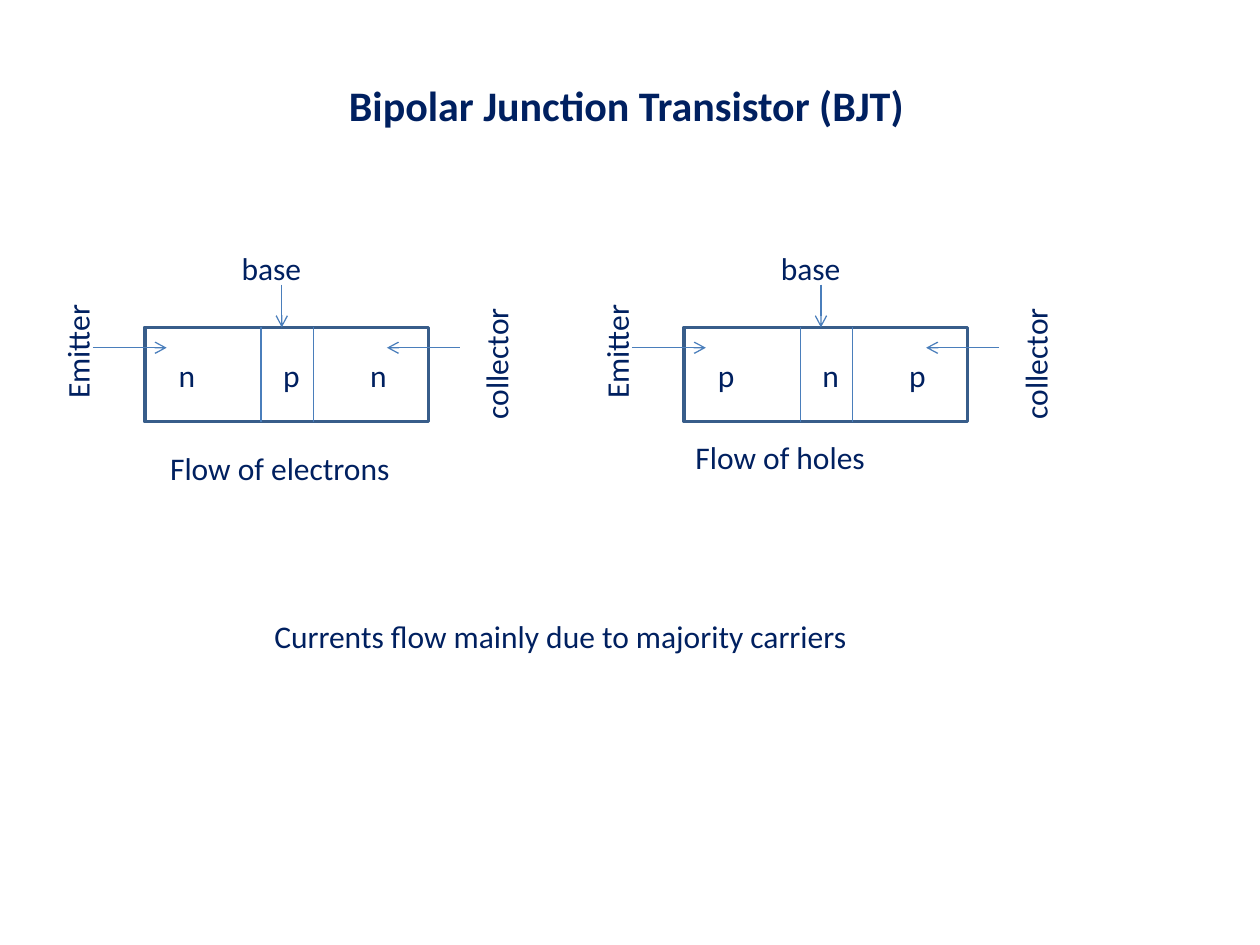
from dataclasses import dataclass

from lxml import etree
from pptx import Presentation
from pptx.dml.color import RGBColor
from pptx.enum.shapes import MSO_CONNECTOR, MSO_SHAPE
from pptx.enum.text import MSO_ANCHOR, MSO_AUTO_SIZE, PP_ALIGN
from pptx.oxml.ns import qn
from pptx.util import Cm, Pt

RECT = MSO_SHAPE.RECTANGLE
LINE = MSO_CONNECTOR.STRAIGHT
TOP = MSO_ANCHOR.TOP
LEFT = PP_ALIGN.LEFT
FIXED = MSO_AUTO_SIZE.NONE


@dataclass(frozen=True)
class Theme:
    """Colours, font and sizes of the slide."""
    ink: RGBColor = RGBColor(0x00, 0x20, 0x60)
    edge: RGBColor = RGBColor(0x38, 0x5D, 0x8A)
    wire: RGBColor = RGBColor(0x4A, 0x7E, 0xBB)
    paper: RGBColor = RGBColor(0xFF, 0xFF, 0xFF)
    font: str = "Calibri"
    head: int = 24
    body: int = 18
    thick: float = 2
    thin: float = 0.75


THEME = Theme()


def write(shape, text, size=THEME.body, bold=False, turn=0, tabs=()):
    """Fill a shape with one formatted paragraph."""
    frame = shape.text_frame
    frame.word_wrap = True
    frame.auto_size = FIXED
    frame.vertical_anchor = TOP
    para = frame.paragraphs[0]
    para.alignment = LEFT
    run = para.add_run()
    run.text = text
    font = run.font
    font.name, font.size, font.bold = THEME.font, Pt(size), bold
    font.color.rgb = THEME.ink
    shape.rotation = turn
    if tabs:
        stops = etree.SubElement(para._p.get_or_add_pPr(), qn("a:tabLst"))
        for stop in tabs:
            etree.SubElement(stops, qn("a:tab"), pos=str(Cm(stop)), algn="l")


def label(slide, x, y, wide, text, **form):
    """Add a one-line text box."""
    box = slide.shapes.add_textbox(Cm(x), Cm(y), Cm(wide), Cm(1.02))
    write(box, text, **form)


def wire(slide, x1, y1, x2, y2, arrow=False):
    """Add a thin line, with an open arrowhead on request."""
    link = slide.shapes.add_connector(LINE, Cm(x1), Cm(y1), Cm(x2), Cm(y2))
    link.line.color.rgb = THEME.wire
    link.line.width = Pt(THEME.thin)
    if arrow:
        etree.SubElement(link.line._get_or_add_ln(), qn("a:tailEnd"), type="arrow")
    etree.SubElement(link._element.spPr, qn("a:effectLst"))


def device(slide, x, y, wide, high, zones):
    """Draw a transistor with its zones and terminals."""
    body = slide.shapes.add_shape(RECT, Cm(x), Cm(y), Cm(wide), Cm(high))
    body.shadow.inherit = False
    body.fill.solid()
    body.fill.fore_color.rgb = THEME.paper
    body.line.color.rgb = THEME.edge
    body.line.width = Pt(THEME.thick)
    for split in (2.34, 3.4):
        wire(slide, x + split, y, x + split, y + high)
    label(slide, x, y + 0.46, 6.35, "\t" + "\t".join(zones),
          tabs=(0.43, 2.54, 4.29))
    for x1, y1, x2, y2 in ((-1.05, 0.41, 0.44, 0.41),
                           (6.35, 0.41, 4.88, 0.41),
                           (2.76, -0.86, 2.76, 0)):
        wire(slide, x + x1, y + y1, x + x2, y + y2, arrow=True)
    for name, dx, dy, span, turn in (("Emitter", -2.95, -0.41, 3.18, 270),
                                     ("collector", 5.49, 0, 3.18, 270),
                                     ("base", 1.7, -1.7, 2.65, 0)):
        label(slide, x + dx, y + dy, span, name, turn=turn)


def title(slide, x, y, wide, high, text):
    """Place and fill the title."""
    head = slide.shapes.title
    head.left, head.top, head.width, head.height = map(Cm, (x, y, wide, high))
    write(head, text, size=THEME.head, bold=True)


def main():
    """Build and save the slide."""
    deck = Presentation()
    deck.slide_width, deck.slide_height = Cm(25.4), Cm(19.05)
    slide = deck.slides.add_slide(deck.slide_layouts[5])
    title(slide, 6.78, 1.47, 12.07, 1.27, "Bipolar Junction Transistor (BJT)")
    for x, zones in ((2.92, "npn"), (13.79, "pnp")):
        device(slide, x, 6.6, 5.72, 1.9, zones)
    label(slide, 3.18, 8.92, 6.22, "Flow of electrons")
    label(slide, 13.77, 8.71, 5.28, "Flow of holes")
    label(slide, 5.28, 12.32, 15.52,
          "Currents flow mainly due to majority carriers")
    deck.save("out.pptx")


main()
